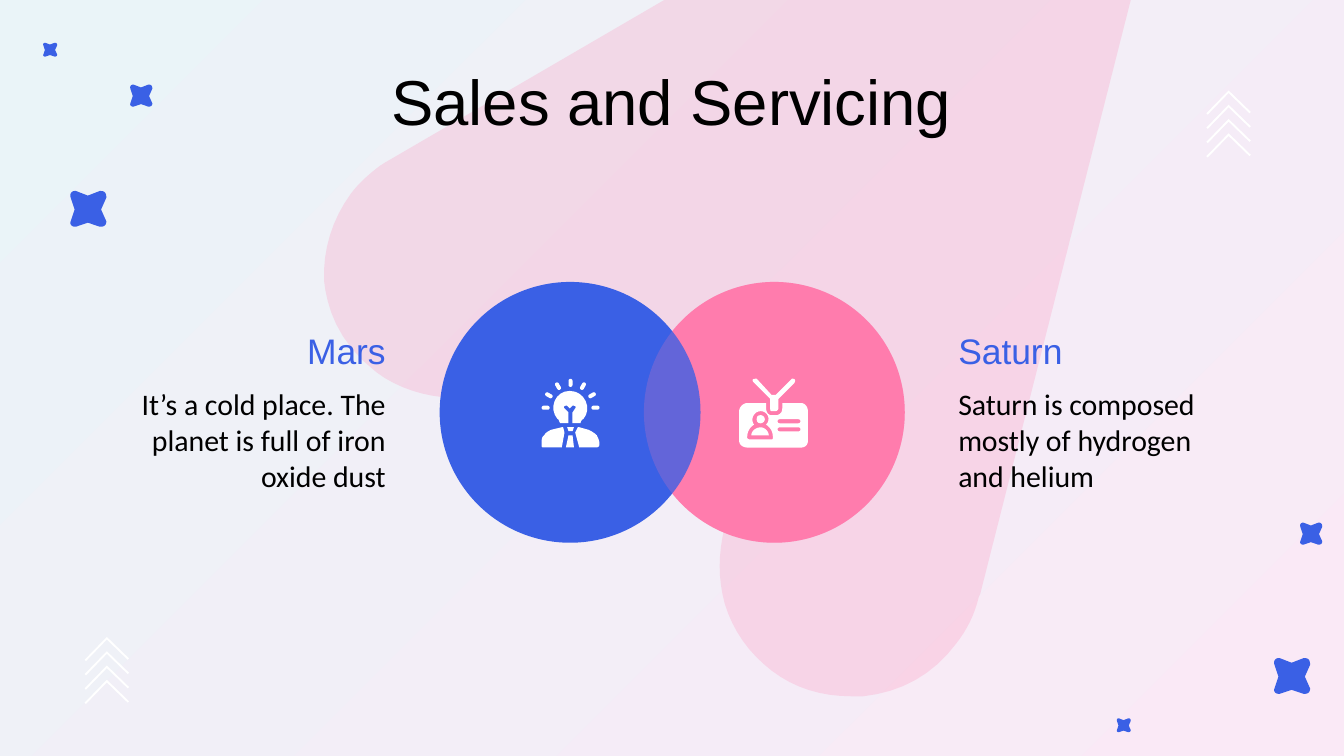
from dataclasses import dataclass
from math import cos, radians, sin

from lxml.etree import SubElement
from pptx import Presentation
from pptx.dml.color import RGBColor as RGB
from pptx.enum.shapes import MSO_SHAPE as Preset
from pptx.enum.text import MSO_ANCHOR as Anchor, MSO_AUTO_SIZE as AutoSize, PP_ALIGN as Align
from pptx.oxml.ns import qn
from pptx.util import Cm, Pt


@dataclass(frozen=True)
class Theme:
    blue: RGB = RGB(0x3A, 0x60, 0xE5)
    pink: RGB = RGB(0xFF, 0x7C, 0xAD)
    white: RGB = RGB(0xFF, 0xFF, 0xFF)
    black: RGB = RGB(0, 0, 0)
    glow: RGB = RGB(0xFA, 0xE9, 0xF6)
    sky: RGB = RGB(0xEA, 0xF4, 0xF8)
    veil: int = 21  # opacity in percent
    display: str = "Arial"
    text: str = "Calibri"
    title_size: Pt = Pt(34)
    heading_size: Pt = Pt(19)
    body_size: Pt = Pt(16)


THEME = Theme()

# Outlines: each is drawn on its own grid, whose width is named beside it
BLOB_GRID, STAR_GRID, CHEVRON_GRID, BULB_GRID, BADGE_GRID = 601, 28, 33, 44, 51
BLOB = """M 254 0 L 48 120 C 46 121 45 122 43 123 C 35 129 27 136 21 144
 C 7 163 0 186 1 209 C 3 227 10 254 40 277 C 56 289 76 295 96 296 L 99 296
 C 117 296 135 291 152 280 L 201 252 L 313 337 L 299 392 C 294 412 294 431 299 449
 C 305 469 317 486 334 499 C 351 512 371 518 393 518 L 402 518
 C 430 515 454 502 471 479 C 479 469 485 457 488 444 L 489 442 L 601 0"""
STAR = """M 4 0 C 2 0 0 2 1 5 L 4 14 L 1 23 C 0 25 2 27 4 27 L 5 27 L 14 24 L 23 27
 L 24 27 C 27 27 28 25 28 23 L 24 14 L 28 5 C 28 2 27 0 24 0 L 23 0 L 14 3.5 L 5 0"""
CHEVRON = "M 16.5 0 L 0 17 L 1 18 L 16.5 2 L 32 17 L 33 16"
BULB_MAN = (
    # knot, tie, left and right shoulder, bulb
    "M 20 36 L 21 39 L 24 39 L 25 36",
    "M 21 42 L 19 51 L 25 51 L 24 42",
    """M 16 36 L 8 38 C 6 39 4 40 3 42 C 1 43 1 46 1 48 L 1 49 C 1 50 1 51 2 51
 L 16 51 L 18 40 L 17 36""",
    """M 28 36 L 26 40 L 29 51 L 42 51 C 43 51 44 50 44 49 L 44 48 C 44 46 43 44 42 42
 C 40 40 38 39 36 38 L 29 36""",
    """M 22 9 C 11 9 6 22 13 30 C 14 30 14 32 15 33 L 21 33 L 21 25 L 18 22
 C 17 21 18 20 19 20 L 20 20 L 22 22 L 24 20 L 25 20 C 26 20 27 21 26 22
 L 24 25 L 24 33 L 30 33 C 30 32 31 30 32 30 C 39 22 33 9 22 9""",
)
BADGE = (
    # shoulders, head, card with cut-outs, lanyard
    "M 16 36 C 12 36 9 39 9 42 L 22 42 C 22 39 19 36 16 36",
    """M 16 27 C 14 27 13 28 13 30 C 13 32 14 33 16 33 C 17 33 19 32 19 30
 C 19 28 17 27 16 27""",
    """M 44 30 C 46 30 46 33 44 33 L 30 33 C 28 33 28 30 30 30
 M 44 36 C 46 36 46 39 44 39 L 30 39 C 28 39 28 36 30 36
 M 16 24 C 21 24 24 30 20 34 C 23 36 25 39 25 43 L 25 44 C 25 44 25 45 24 45 L 8 45
 C 7 45 6 44 6 44 L 6 43 C 6 39 8 36 11 34 C 8 30 11 24 16 24
 M 6 18 C 3 18 0 21 0 24 L 0 46 C 0 49 3 51 6 51 L 46 51 C 49 51 51 49 51 46 L 51 24
 C 51 21 49 18 46 18 L 32 18 L 32 22 C 32 25 30 27 27 27 L 24 27 C 22 27 20 25 20 22
 L 20 18""",
    """M 12 0 C 10 0 9 1 11 3 L 23 15 L 23 22 C 23 23 23 24 24 24 L 27 24
 C 28 24 29 23 29 22 L 29 15 L 41 3 C 42 1 41 0 40 0 L 39 0 L 27 12 L 24 12 L 13 0""",
)


def paint(shape, color, opacity=100):
    shape.shadow.inherit = False
    shape.fill.solid()
    shape.fill.fore_color.rgb = color
    shape.line.fill.background()
    if opacity < 100:
        tint = shape.fill._xPr.find(qn("a:solidFill"))[0]
        SubElement(tint, qn("a:alpha"), val=str(opacity * 1000))


def contours(outline, steps=8):
    """Turn M, L and C commands into lists of points, one per contour."""
    for contour in outline.split("M")[1:]:
        points = []
        for command in contour.replace("L", "|").replace("C", "|").split("|"):
            values = [float(value) for value in command.split()]
            pairs = list(zip(values[::2], values[1::2]))
            if len(pairs) == 1:
                points += pairs
                continue
            curve = [points[-1], *pairs]
            for step in range(1, steps + 1):
                t = step / steps
                weights = ((1 - t) ** 3, 3 * t * (1 - t) ** 2, 3 * t * t * (1 - t), t ** 3)
                points.append(tuple(sum(w * point[axis] for w, point in zip(weights, curve))
                                    for axis in (0, 1)))
        yield points


def draw(shapes, outline, grid, left, top, width, color, opacity=100):
    pitch = width / grid
    builder = None
    for contour in contours(outline):
        start, *rest = [(x * pitch, y * pitch) for x, y in contour]
        if builder is None:
            builder = shapes.build_freeform(*start, scale=1.0)
        else:
            builder.move_to(*start)
        builder.add_line_segments(rest, close=True)
    paint(builder.convert_to_shape(left, top), color, opacity)


def backdrop(slide):
    fill = slide.background.fill
    fill.gradient()
    fill.gradient_angle = 135
    for stop, color, position in zip(fill.gradient_stops, (THEME.glow, THEME.sky), (0, 1)):
        stop.color.rgb = color
        stop.position = position
    draw(slide.shapes, BLOB, BLOB_GRID, Cm(6.1), 0, Cm(15.27), THEME.pink, THEME.veil)
    # Stars: left, top, width
    for star in ((21.1, 13.58, 0.27), (24.56, 9.88, 0.43), (24.06, 12.44, 0.7),
                 (1.31, 3.61, 0.7), (2.45, 1.6, 0.43), (0.81, 0.81, 0.27)):
        draw(slide.shapes, STAR, STAR_GRID, *map(Cm, star), THEME.blue)
    for left, top in ((22.8, 1.71), (1.6, 12.04)):
        chevrons(slide, Cm(left), Cm(top), Cm(0.84))


def chevrons(slide, left, top, width):
    stack = slide.shapes.add_group_shape().shapes
    for row in range(4):
        draw(stack, CHEVRON, CHEVRON_GRID, left, top + row * Cm(0.27), width, THEME.white)


def venn(slide, left, top, diameter, shift):
    circles = slide.shapes.add_group_shape().shapes
    for offset, color, opacity in ((shift, THEME.pink, 100), (0, THEME.blue, 100),
                                   (shift, THEME.pink, THEME.veil)):
        circle = circles.add_shape(Preset.OVAL, left + offset, top, diameter, diameter)
        paint(circle, color, opacity)


def icon(slide, parts, grid, left, top, width):
    group = slide.shapes.add_group_shape().shapes
    for part in parts:
        draw(group, part, grid, left, top, width, THEME.white)
    return group


def bulb_icon(slide, left, top, width):
    group = icon(slide, BULB_MAN, BULB_GRID, left, top, width)
    # Rays every 30 degrees above the bulb
    pitch = width / BULB_GRID
    length, thickness, radius = 6 * pitch, 3 * pitch, 18.5 * pitch
    for angle in range(180, 361, 30):
        x = left + 22.5 * pitch + radius * cos(radians(angle))
        y = top + 21.5 * pitch + radius * sin(radians(angle))
        ray = group.add_shape(Preset.ROUNDED_RECTANGLE, int(x - length / 2),
                              int(y - thickness / 2), int(length), int(thickness))
        ray.adjustments[0] = 0.5
        ray.rotation = angle
        paint(ray, THEME.white)


def write(holder, words, box, font, size, color, align, anchor, spacing=1.0):
    holder.left, holder.top, holder.width, holder.height = map(Cm, box)
    frame = holder.text_frame
    frame.text = words
    frame.word_wrap = True
    frame.auto_size = AutoSize.NONE
    frame.vertical_anchor = anchor
    frame.margin_left = frame.margin_right = frame.margin_top = frame.margin_bottom = Cm(0.25)
    line = frame.paragraphs[0]
    properties = line._p.get_or_add_pPr()
    properties.set("marL", "0")
    properties.set("indent", "0")
    SubElement(properties, qn("a:buNone"))
    line.alignment = align
    line.line_spacing = spacing
    line.space_before = Pt(0)
    line.font.name, line.font.size, line.font.bold = font, size, False
    line.font.color.rgb = color


def planet(heading, body, name, fact, left, top, align):
    write(heading, name, (left, top, 5.74, 1.3), THEME.display, THEME.heading_size,
          THEME.blue, align, Anchor.BOTTOM)
    write(body, fact, (left, top + 1.07, 5.74, 2.39), THEME.text, THEME.body_size,
          THEME.black, align, Anchor.TOP)


def main():
    deck = Presentation()
    deck.slide_width, deck.slide_height = Cm(25.4), Cm(14.29)
    slide = deck.slides.add_slide(deck.slide_layouts.get_by_name("Comparison"))
    title, mars, mars_fact, saturn, saturn_fact = holders = list(slide.placeholders)

    backdrop(slide)
    venn(slide, Cm(8.31), Cm(5.33), Cm(4.93), Cm(3.86))

    # Text sits above the backdrop
    for holder in holders:
        slide.shapes._spTree.append(holder._element)
    write(title, "Sales and Servicing", (2.01, 1.22, 21.36, 1.6), THEME.display,
          THEME.title_size, THEME.black, Align.CENTER, Anchor.MIDDLE, 0.8)
    planet(mars, mars_fact, "Mars", "It’s a cold place. The planet is full of iron oxide dust",
           1.8, 5.97, Align.RIGHT)
    planet(saturn, saturn_fact, "Saturn", "Saturn is composed mostly of hydrogen and helium",
           17.86, 5.97, Align.LEFT)

    bulb_icon(slide, Cm(10.21), Cm(7.16), Cm(1.12))
    icon(slide, BADGE, BADGE_GRID, Cm(13.97), Cm(7.16), Cm(1.3))
    deck.save("out.pptx")


if __name__ == "__main__":
    main()
